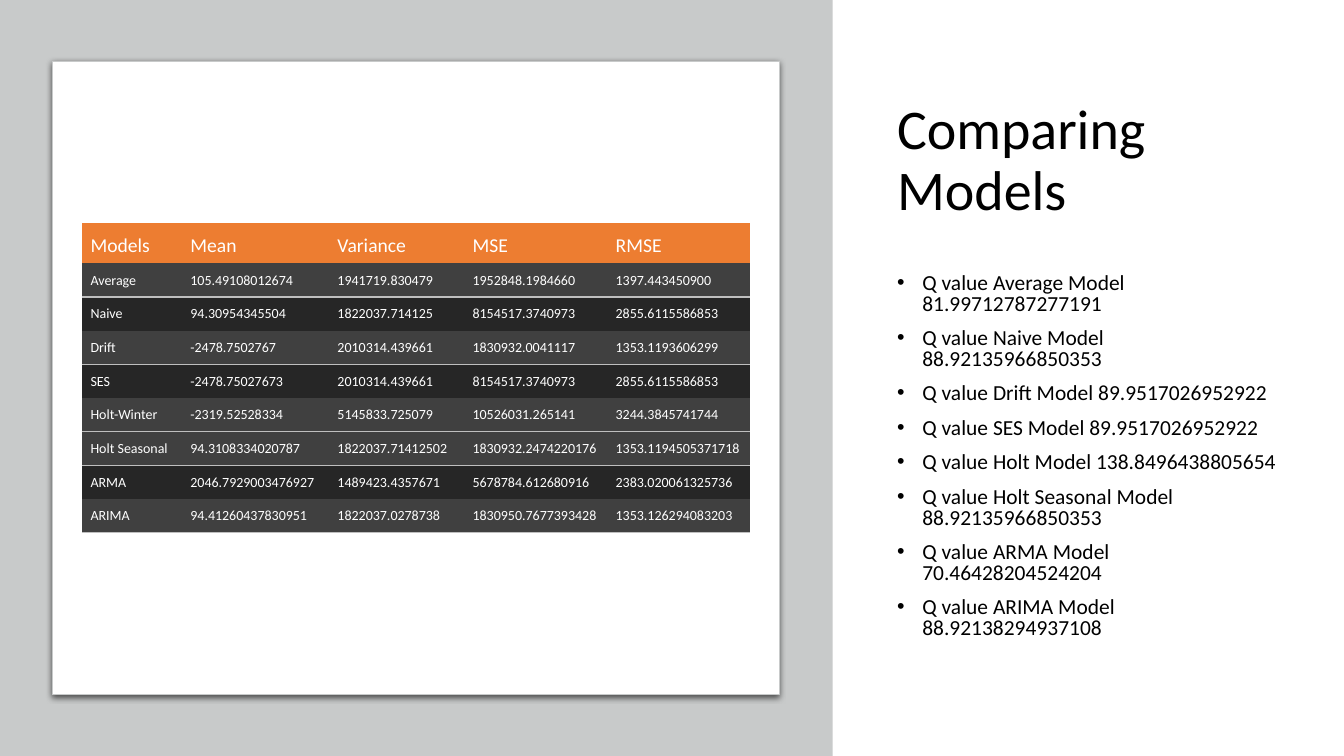
from lxml.etree import SubElement
from pptx import Presentation
from pptx.dml.color import RGBColor
from pptx.enum.shapes import MSO_SHAPE as SHAPE
from pptx.enum.text import MSO_ANCHOR as ANCHOR, MSO_AUTO_SIZE as AUTO_SIZE, PP_ALIGN as ALIGN
from pptx.oxml import parse_xml
from pptx.oxml.ns import nsdecls, qn
from pptx.util import Pt


def color(hex_value):
    return RGBColor.from_string(hex_value)


def add_text(paragraph, text, size, hex_value):
    run = paragraph.add_run()
    run.text = text
    run.font.name = "Calibri"
    run.font.size = Pt(size)
    run.font.color.rgb = color(hex_value)


MODELS = [
    ("Models", "Mean", "Variance", "MSE", "RMSE"),
    ("Average", "105.49108012674", "1941719.830479", "1952848.1984660", "1397.443450900"),
    ("Naive", "94.30954345504", "1822037.714125", "8154517.3740973", "2855.6115586853"),
    ("Drift", "-2478.7502767", "2010314.439661", "1830932.0041117", "1353.1193606299"),
    ("SES", "-2478.75027673", "2010314.439661", "8154517.3740973", "2855.6115586853"),
    ("Holt-Winter", "-2319.52528334", "5145833.725079", "10526031.265141", "3244.3845741744"),
    ("Holt Seasonal", "94.3108334020787", "1822037.71412502", "1830932.2474220176", "1353.1194505371718"),
    ("ARMA", "2046.7929003476927", "1489423.4357671", "5678784.612680916", "2383.020061325736"),
    ("ARIMA", "94.41260437830951", "1822037.0278738", "1830950.7677393428", "1353.126294083203"),
]
Q_VALUES = [
    ("Average", "81.99712787277191"),
    ("Naive", "88.92135966850353"),
    ("Drift", "89.9517026952922"),
    ("SES", "89.9517026952922"),
    ("Holt", "138.8496438805654"),
    ("Holt Seasonal", "88.92135966850353"),
    ("ARMA", "70.46428204524204"),
    ("ARIMA", "88.92138294937108"),
]
COLUMN_WIDTHS = [71.3, 105.1, 96.5, 102.2, 102.2]
HEADER_HEIGHT, ROW_HEIGHT = 28.6, 24.05
DARK_ROWS = {2, 4, 7}
RULED_BELOW = {1, 3, 5, 6, 8}

prs = Presentation()
prs.slide_width, prs.slide_height = Pt(960), Pt(540)
slide = prs.slides.add_slide(prs.slide_layouts[1])

title = slide.shapes.title
title.left, title.top, title.width, title.height = Pt(633.6), Pt(49.7), Pt(288.7), Pt(131.8)
title.text_frame.auto_size = AUTO_SIZE.NONE
title.text_frame.vertical_anchor = ANCHOR.MIDDLE
heading = title.text_frame.paragraphs[0]
heading.alignment = ALIGN.LEFT
heading.line_spacing = 0.9
add_text(heading, "Comparing Models", 40, "000000")

panel = slide.shapes.add_shape(SHAPE.RECTANGLE, 0, 0, Pt(594.7), Pt(540))
panel.shadow.inherit = False
panel.fill.solid()
panel.fill.fore_color.rgb = color("C8CACA")
panel.line.fill.background()

card = slide.shapes.add_shape(SHAPE.ROUNDED_RECTANGLE, Pt(37.4), Pt(43.9), Pt(519.1), Pt(452.2))
card.adjustments[0] = 0
card.shadow.inherit = False
card.fill.solid()
card.fill.fore_color.rgb = color("FFFFFF")
card.line.color.rgb = color("C8CACA")
card.line.width = Pt(0.75)
card_effects = card._element.spPr.find(qn("a:effectLst"))
card_effects.append(parse_xml(
    f'<a:outerShdw {nsdecls("a")} blurRad="{Pt(4.5)}" dist="{Pt(1.5)}" dir="5400000" '
    'algn="t" rotWithShape="0"><a:srgbClr val="000000"><a:alpha val="63000"/>'
    '</a:srgbClr></a:outerShdw>'))

q_list = slide.placeholders[1]
q_list.left, q_list.top, q_list.width, q_list.height = Pt(633.6), Pt(192.2), Pt(288.7), Pt(297.4)
q_list.text_frame.auto_size = AUTO_SIZE.NONE
for index, (model, q_value) in enumerate(Q_VALUES):
    item = q_list.text_frame.paragraphs[0] if index == 0 else q_list.text_frame.add_paragraph()
    item_props = item._p.get_or_add_pPr()
    item_props.set("marL", str(Pt(18)))
    item_props.set("indent", str(-Pt(18)))
    SubElement(item_props, qn("a:buFont"), typeface="Arial")
    SubElement(item_props, qn("a:buChar"), char="•")
    item.line_spacing = 0.8
    item.space_before = Pt(10 if index else 0)
    add_text(item, f"Q value {model} Model {q_value}", 15.3, "000000")

comparison = slide.shapes.add_table(
    len(MODELS), len(COLUMN_WIDTHS), Pt(58.5), Pt(159.6), Pt(sum(COLUMN_WIDTHS)),
    Pt(HEADER_HEIGHT + ROW_HEIGHT * (len(MODELS) - 1))).table
for column, width in zip(comparison.columns, COLUMN_WIDTHS):
    column.width = Pt(width)
for row, values in enumerate(MODELS):
    comparison.rows[row].height = Pt(ROW_HEIGHT if row else HEADER_HEIGHT)
    row_fill = "ED7D31" if row == 0 else "262626" if row in DARK_ROWS else "404040"
    ruled_edges = {"T": row - 1 in RULED_BELOW, "B": row in RULED_BELOW}
    for col, value in enumerate(values):
        cell = comparison.cell(row, col)
        cell.margin_left = cell.margin_right = cell.margin_top = Pt(6.2)
        cell.margin_bottom = Pt(3.1)
        cell.vertical_anchor = ANCHOR.TOP if row else ANCHOR.MIDDLE
        add_text(cell.text_frame.paragraphs[0], value, 10 if row else 14, "FFFFFF")
        cell_props = cell._tc.get_or_add_tcPr()
        for edge in "LRTB":
            border = SubElement(cell_props, qn(f"a:ln{edge}"), w=str(Pt(1)))
            if ruled_edges.get(edge):
                SubElement(SubElement(border, qn("a:solidFill")), qn("a:srgbClr"), val="BFBFBF")
            else:
                SubElement(border, qn("a:noFill"))
        cell.fill.solid()
        cell.fill.fore_color.rgb = color(row_fill)

prs.save("out.pptx")
